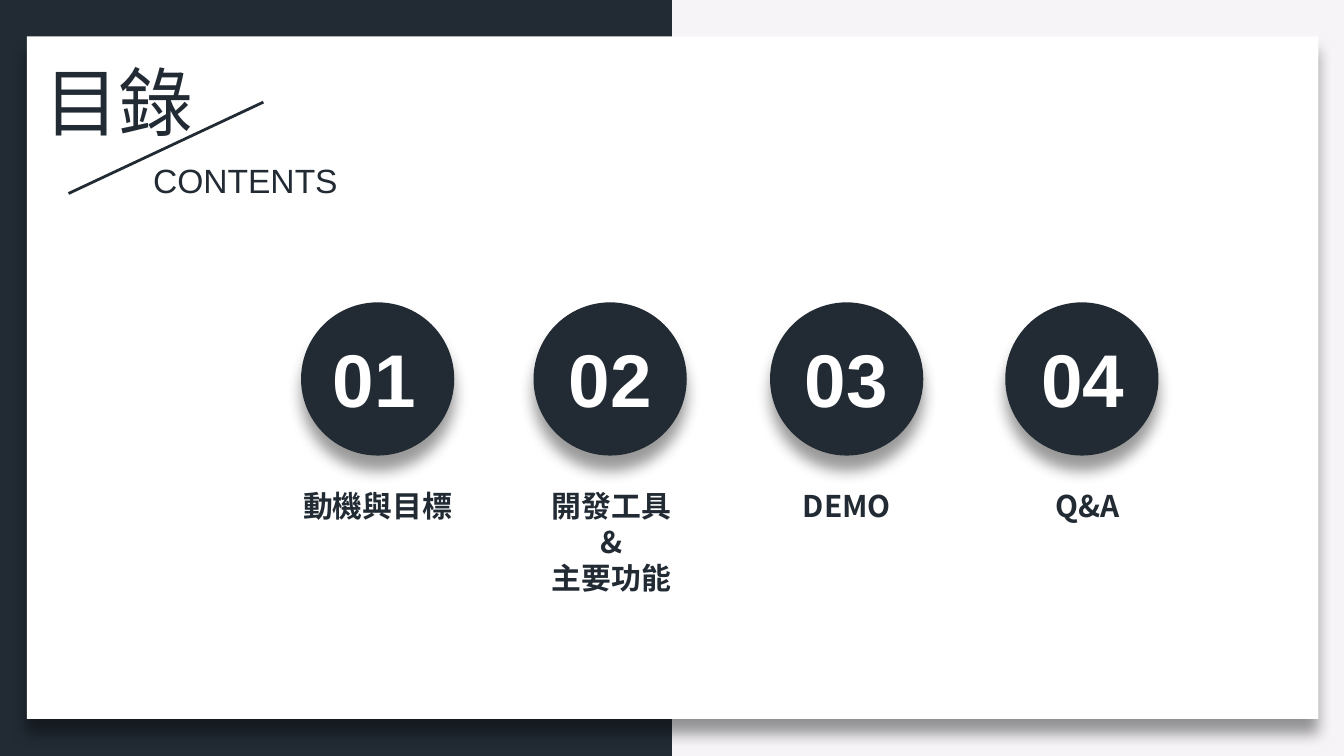
"""Build a contents slide with four numbered topics."""
from dataclasses import dataclass

from lxml.etree import SubElement
from pptx import Presentation
from pptx.dml.color import RGBColor
from pptx.enum.shapes import MSO_CONNECTOR as Connector, MSO_SHAPE as Shape
from pptx.enum.text import MSO_AUTO_SIZE as AutoSize, PP_ALIGN as Align
from pptx.oxml.ns import qn
from pptx.util import Inches, Pt

COLORS = {"navy": "222B34", "white": "FFFFFF", "mist": "F6F4F7", "black": "000000"}
STYLES = {
    "title": {"name": "Calibri", "size": Pt(40), "bold": False},
    "subtitle": {"name": "Arial", "size": Pt(18), "bold": False},
    "number": {"name": "Arial", "size": Pt(40), "bold": True},
    "label": {"name": "Noto Sans CJK SC", "size": Pt(16), "bold": True},
}
PAGE_WIDTH = 10
PAGE_HEIGHT = PAGE_WIDTH * 9 / 16
LINE_FACTOR = 1.2
FIRST_NUMBER, LAST_NUMBER = 2.37, 7.64


@dataclass(frozen=True)
class Area:
    """A rectangle in inches."""
    left: float
    top: float
    width: float
    height: float

    def lengths(self) -> tuple:
        """Return the four values as lengths."""
        return tuple(Inches(v) for v in (self.left, self.top, self.width, self.height))


@dataclass(frozen=True)
class Topic:
    """A numbered entry of the contents."""
    circle_left: float
    label: Area
    lines: tuple
    wrap: bool = True


TOPICS = (
    Topic(2.24, Area(2.15, 3.58, 1.32, 0.37), ("動機與目標",), False),
    Topic(3.97, Area(3.99, 3.58, 1.12, 0.91), ("開發工具", "&", "主要功能")),
    Topic(5.73, Area(5.74, 3.58, 1.12, 0.37), ("DEMO",)),
    Topic(7.48, Area(7.63, 3.58, 0.92, 0.37), ("Q&A",)),
)
NUMBER_STEP = (LAST_NUMBER - FIRST_NUMBER) / (len(TOPICS) - 1)


def color(name: str) -> RGBColor:
    """Look up a named colour."""
    return RGBColor.from_string(COLORS[name])


def add_shadow(shape) -> None:
    """Give a shape a soft shadow straight below it."""
    effects = shape._element.spPr.find(qn("a:effectLst"))
    shadow = SubElement(effects, qn("a:outerShdw"), blurRad=str(Pt(8)),
                        dist=str(Pt(8)), dir="5400000", algn="t", rotWithShape="0")
    tint = SubElement(shadow, qn("a:srgbClr"), val=COLORS["black"])
    SubElement(tint, qn("a:alpha"), val="40000")


def add_filled(shapes, kind: Shape, area: Area, fill: str, shadow: bool = True) -> None:
    """Draw a borderless filled shape."""
    shape = shapes.add_shape(kind, *area.lengths())
    shape.shadow.inherit = False
    shape.fill.solid()
    shape.fill.fore_color.rgb = color(fill)
    shape.line.fill.background()
    if shadow:
        add_shadow(shape)


def add_text(shapes, area: Area, lines: tuple, style: str, ink: str = "navy",
             align: Align = Align.LEFT, wrap: bool = False) -> None:
    """Draw a text box with one paragraph for each line."""
    box = shapes.add_textbox(*area.lengths())
    frame = box.text_frame
    frame.word_wrap = wrap
    frame.auto_size = AutoSize.SHAPE_TO_FIT_TEXT
    values = STYLES[style]
    for index, line in enumerate(lines):
        para = frame.paragraphs[0] if index == 0 else frame.add_paragraph()
        para.alignment = align
        para.line_spacing = Pt(values["size"].pt * LINE_FACTOR)
        span = para.add_run()
        span.text = line
        for key, value in values.items():
            setattr(span.font, key, value)
        span.font.color.rgb = color(ink)
        SubElement(span._r.get_or_add_rPr(), qn("a:ea"), typeface=values["name"])


def add_slash(shapes) -> None:
    """Draw the slanted line between title and subtitle."""
    ends = (Inches(v) for v in (1.96, 0.76, 0.51, 1.44))
    slash = shapes.add_connector(Connector.STRAIGHT, *ends)
    slash.line.color.rgb = color("navy")
    slash.line.width = Pt(1.5)
    SubElement(slash._element.spPr, qn("a:effectLst"))


def add_topic(shapes, index: int, topic: Topic) -> None:
    """Draw a grouped circle, label and number."""
    group = shapes.add_group_shape().shapes
    add_filled(group, Shape.OVAL, Area(topic.circle_left, 2.25, 1.14, 1.14), "navy")
    add_text(group, topic.label, topic.lines, "label", align=Align.CENTER, wrap=topic.wrap)
    number = Area(FIRST_NUMBER + NUMBER_STEP * index, 2.43, 0.83, 0.77)
    add_text(group, number, (f"{index + 1:02d}",), "number", "white", Align.CENTER)


def main() -> None:
    """Build and save the deck."""
    deck = Presentation()
    deck.slide_width, deck.slide_height = Inches(PAGE_WIDTH), Inches(PAGE_HEIGHT)
    page = deck.slides.add_slide(deck.slide_layouts[6])
    page.background.fill.solid()
    page.background.fill.fore_color.rgb = color("mist")
    shapes = page.shapes
    left_half = Area(0, 0, PAGE_WIDTH / 2, PAGE_HEIGHT)
    add_filled(shapes, Shape.RECTANGLE, left_half, "navy", shadow=False)
    add_filled(shapes, Shape.RECTANGLE, Area(0.2, 0.27, 9.61, 5.08), "white")
    add_text(shapes, Area(0.23, 0.37, 1.32, 0.77), ("目錄",), "title")
    add_slash(shapes)
    add_text(shapes, Area(1.04, 1.14, 1.59, 0.4), ("CONTENTS",), "subtitle")
    for index, topic in enumerate(TOPICS):
        add_topic(shapes, index, topic)
    deck.save("out.pptx")


if __name__ == "__main__":
    main()
